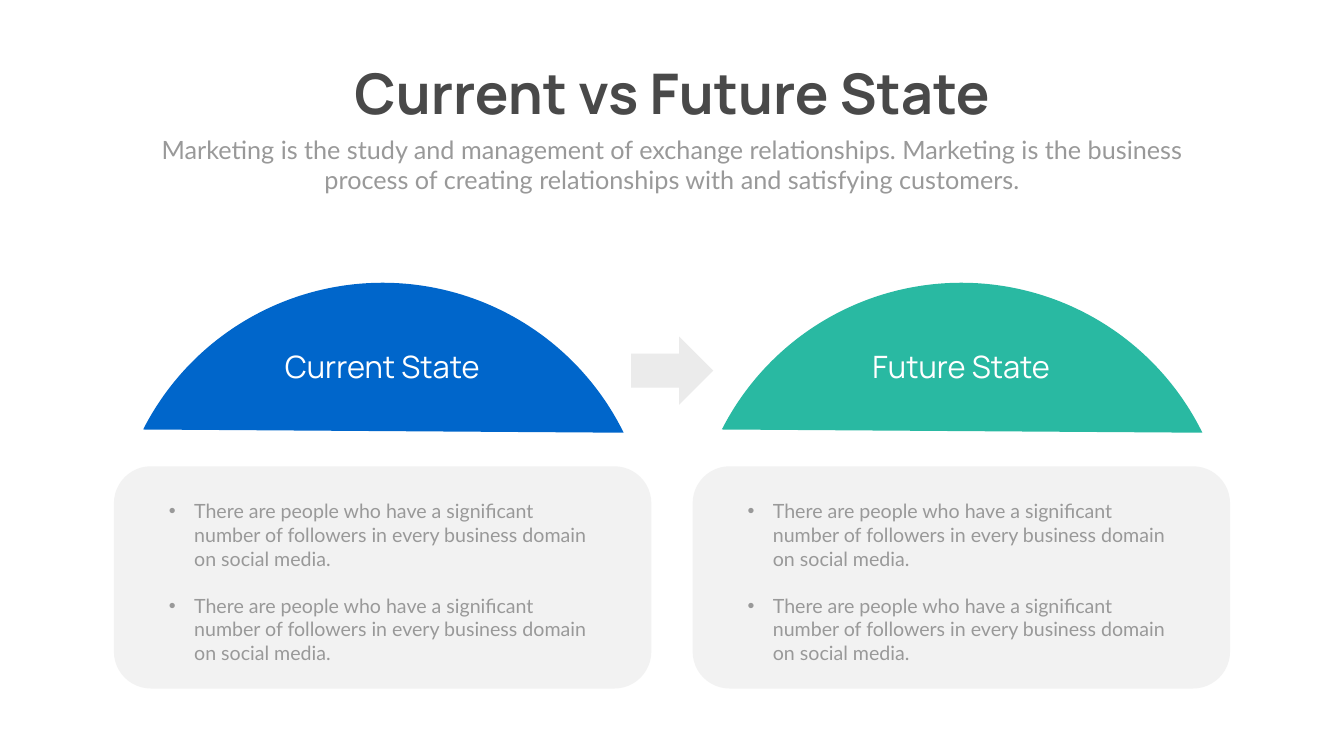
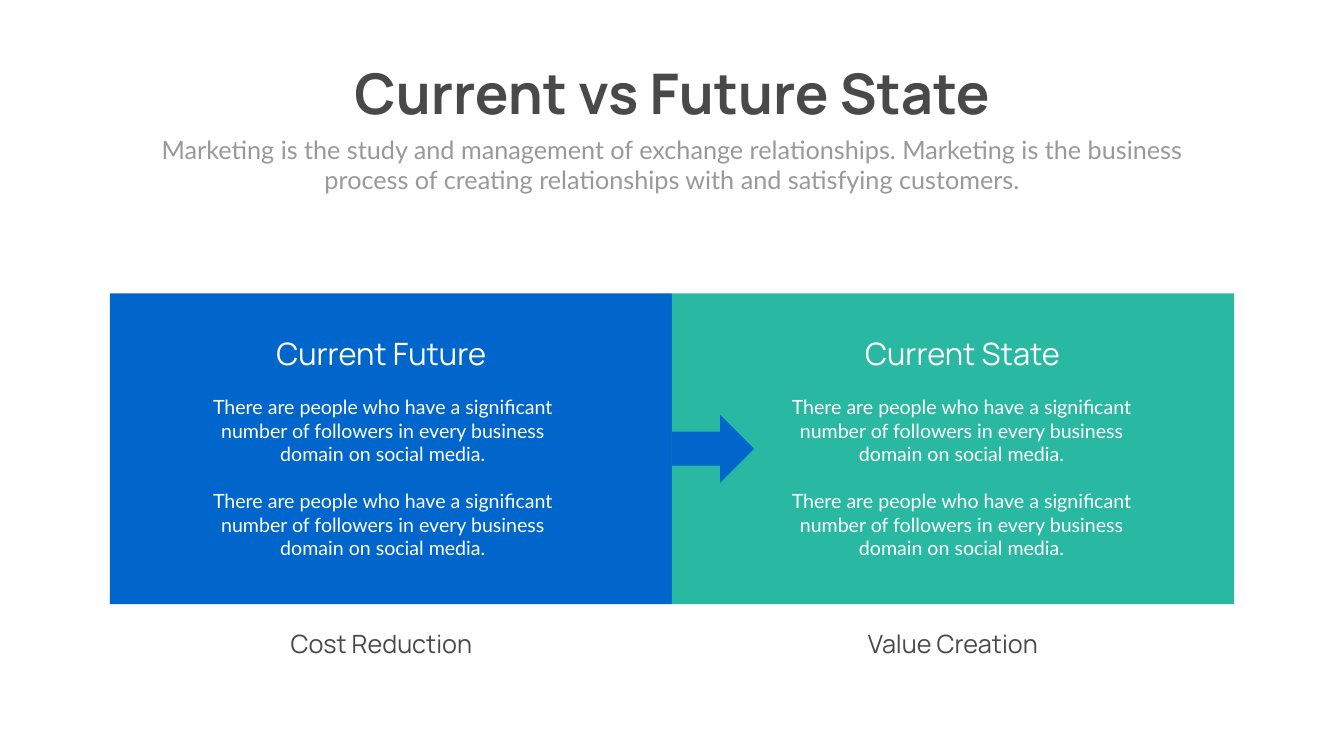
from dataclasses import dataclass

from lxml import etree
from pptx import Presentation
from pptx import util as u
from pptx.dml.color import RGBColor
from pptx.enum import shapes, text
from pptx.oxml.ns import qn

HUES = {
    "blue": "0066CB",
    "teal": "29B9A2",
    "card": "F2F2F2",
    "arrow": "EBEBEB",
    "dark": "494949",
    "gray": "999999",
    "white": "FFFFFF",
}
PAIR = ("blue", "teal")
STEP = 29.16
TITLE = "Current vs Future State"
INTRO = (
    "Marketing is the study and management of exchange relationships. "
    "Marketing is the business process of creating relationships with "
    "and satisfying customers."
)
POINT = (
    "There are people who have a significant number of followers "
    "in every business domain on social media."
)
CHORD = (124.19, 200.27)
KIND = shapes.MSO_SHAPE


@dataclass(frozen=True)
class Box:
    left: float
    top: float
    width: float
    height: float

    def shift(self, step: float) -> "Box":
        return Box(self.left + step, self.top, self.width, self.height)

    def place(self, shape) -> None:
        shape.left, shape.top = u.Cm(self.left), u.Cm(self.top)
        shape.width, shape.height = u.Cm(self.width), u.Cm(self.height)

    def sides(self) -> tuple:
        return tuple(map(u.Cm, (self.left, self.top, self.width, self.height)))


@dataclass(frozen=True)
class Style:
    face: str
    size: float
    hue: str
    bold: bool = False
    wrap: bool = True
    bullet: bool = False


HEAD = Style("Manrope", 80, "dark", bold=True, wrap=False)
LEAD = Style("Lato", 36, "gray")
LABEL = Style("Manrope", 44, "white", wrap=False)
NAME = Style("Manrope", 44, "white")
NOTE = Style("Manrope", 36, "dark")
LIST = Style("Lato", 28, "gray", bullet=True)
BODY = Style("Lato", 28, "white")


def color(hue: str) -> RGBColor:
    return RGBColor.from_string(HUES[hue])


def mark(para, bullet: bool) -> None:
    props = para._p.get_or_add_pPr()
    indent = u.Cm(1.27) if bullet else 0
    props.set("marL", str(indent))
    props.set("indent", str(-indent))
    if bullet:
        font = etree.SubElement(props, qn("a:buFont"))
        font.set("typeface", "Arial")
        etree.SubElement(props, qn("a:buChar")).set("char", "•")
    else:
        etree.SubElement(props, qn("a:buNone"))


def write(shape, lines: list[str], style: Style) -> None:
    frame = shape.text_frame
    frame.text = "\n".join(lines)
    frame.word_wrap = style.wrap
    frame.auto_size = text.MSO_AUTO_SIZE.SHAPE_TO_FIT_TEXT
    frame.vertical_anchor = text.MSO_ANCHOR.TOP
    for row, para in enumerate(frame.paragraphs):
        mark(para, style.bullet)
        para.alignment = text.PP_ALIGN.LEFT if style.bullet else text.PP_ALIGN.CENTER
        para.line_spacing = 1.0
        para.space_before = u.Pt(style.size * 1.2 if row else 0)
        font = para.font
        font.name, font.size, font.bold = style.face, u.Pt(style.size), style.bold
        font.color.rgb = color(style.hue)


def label(slide, words: str, box: Box, style: Style) -> None:
    write(slide.shapes.add_textbox(*box.sides()), [words], style)


def draw(slide, kind, box: Box, hue: str):
    shape = slide.shapes.add_shape(kind, *box.sides())
    shape.shadow.inherit = False
    shape.fill.solid()
    shape.fill.fore_color.rgb = color(hue)
    shape.line.fill.background()
    return shape


def start(deck):
    slide = deck.slides.add_slide(deck.slide_layouts.get_by_name("Two Content"))
    for spot in list(slide.placeholders):
        if spot.placeholder_format.idx > 2:
            spot._element.getparent().remove(spot._element)
    title = slide.shapes.title
    Box(16.69, 2.84, 34.37, 3.68).place(title)
    write(title, [TITLE], HEAD)
    label(slide, INTRO, Box(7.42, 6.63, 52.88, 3.33), LEAD)
    return slide


def fill(slide, box: Box, style: Style) -> None:
    for col in range(2):
        spot = slide.placeholders[col + 1]
        box.shift(col * STEP).place(spot)
        write(spot, [POINT, POINT], style)
        slide.shapes._spTree.append(spot._element)


def domes(deck) -> None:
    slide = start(deck)
    card = Box(5.74, 23.5, 27.08, 11.2)
    disc = Box(5.74, 14.25, 27.08, 27.08)
    for col in range(2):
        draw(slide, KIND.ROUNDED_RECTANGLE, card.shift(col * STEP), "card")
    for col, hue in enumerate(PAIR):
        dome = draw(slide, KIND.CHORD, disc.shift(col * STEP), hue)
        for side, angle in enumerate(CHORD):
            dome.adjustments[side] = angle
    label(slide, "Current State", Box(13.74, 17.4, 11.05, 2.13), LABEL)
    label(slide, "Future State", Box(43.41, 17.4, 10.06, 2.13), LABEL)
    fill(slide, Box(8.26, 25.04, 22.02, 8.64), LIST)
    draw(slide, KIND.RIGHT_ARROW, Box(31.8, 16.97, 4.14, 3.43), "arrow")


def panels(deck) -> None:
    slide = start(deck)
    panel = Box(5.54, 14.78, 28.32, 15.67)
    for col, hue in enumerate(PAIR):
        draw(slide, KIND.RECTANGLE, panel.shift(col * panel.width), hue)
    draw(slide, KIND.RIGHT_ARROW, Box(33.86, 20.9, 4.14, 3.43), "blue")
    label(slide, "Current Future", Box(12.42, 16.76, 13.59, 2.13), NAME)
    label(slide, "Current State", Box(41.71, 16.76, 13.59, 2.13), NAME)
    label(slide, "Cost Reduction", Box(12.42, 31.52, 13.59, 1.8), NOTE)
    label(slide, "Value Creation", Box(41.22, 31.52, 13.59, 1.8), NOTE)
    fill(slide, Box(9.91, 19.79, 18.75, 8.64), BODY)


def main() -> None:
    deck = Presentation()
    deck.slide_width, deck.slide_height = u.Cm(67.72), u.Cm(38.1)
    domes(deck)
    panels(deck)
    deck.save("out.pptx")


if __name__ == "__main__":
    main()
